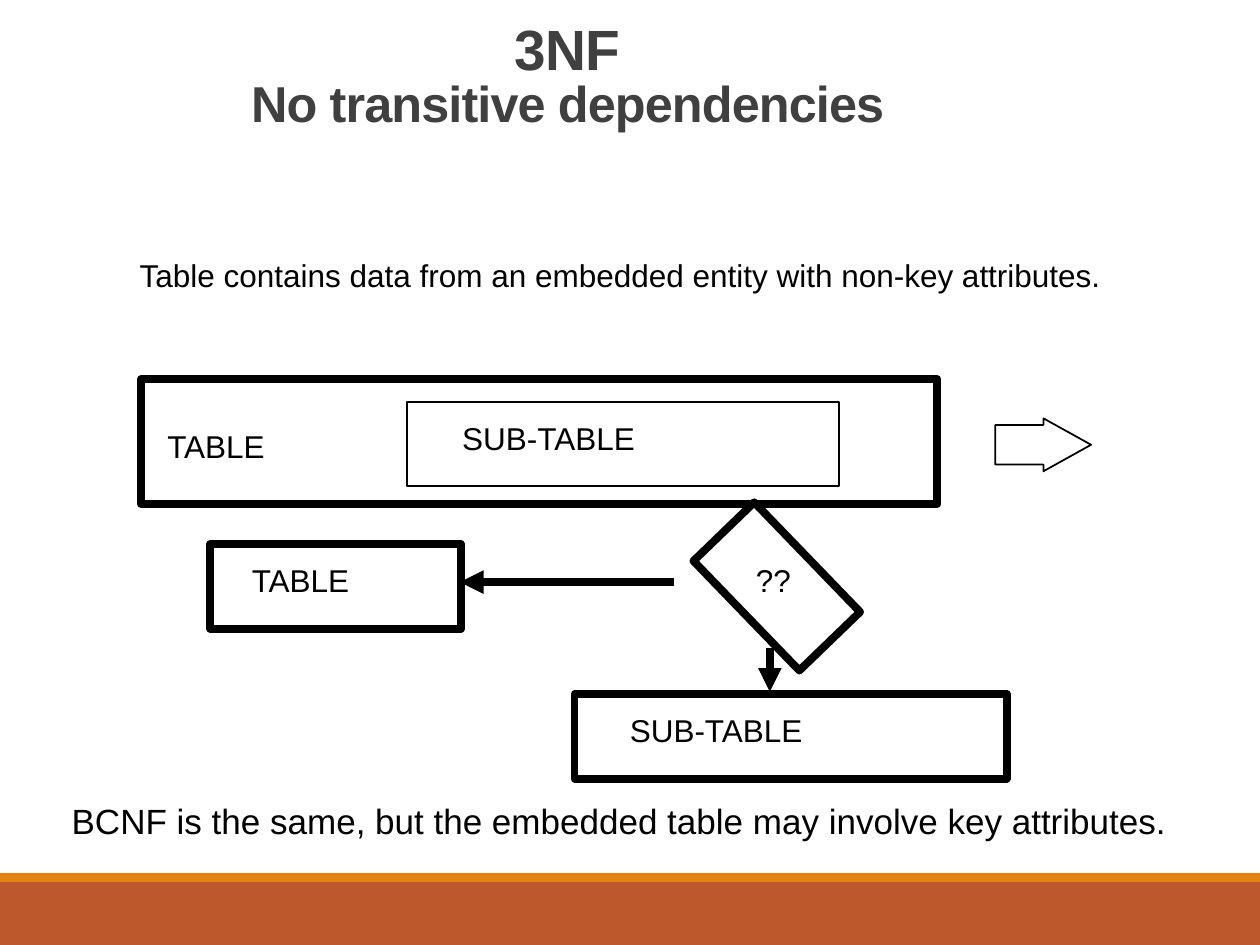
from pptx import Presentation
from pptx.dml.color import RGBColor
from pptx.enum.shapes import MSO_CONNECTOR, MSO_SHAPE
from pptx.enum.text import MSO_ANCHOR, PP_ALIGN
from pptx.oxml.ns import qn
from pptx.util import Inches, Pt
from lxml.etree import SubElement

COLORS = {"ink": "000000", "title": "404040", "band": "BD582C", "stripe": "E48312"}
FONT = "Arial"
THICK = 4.5
THIN = 1


def rgb(name):
    return RGBColor.from_string(COLORS[name])


def style_run(r, size, color="ink", bold=False):
    r.font.name = FONT
    r.font.size = Pt(size)
    r.font.bold = bold
    r.font.color.rgb = rgb(color)


def add_text(s, text, left, top, width, height, size=18, wrap=False):
    sp = s.shapes.add_textbox(Inches(left), Inches(top), Inches(width), Inches(height))
    tf = sp.text_frame
    tf.word_wrap = wrap
    tf.vertical_anchor = MSO_ANCHOR.TOP
    tf.text = text
    for r in tf.paragraphs[0].runs:
        style_run(r, size)
    return sp


def add_outline(s, left, top, width, height, weight, kind=MSO_SHAPE.RECTANGLE):
    sp = s.shapes.add_shape(kind, Inches(left), Inches(top), Inches(width), Inches(height))
    sp.shadow.inherit = False
    sp.fill.background()
    sp.line.color.rgb = rgb("ink")
    sp.line.width = Pt(weight)
    return sp


def add_arrow(s, x1, y1, x2, y2):
    cn = s.shapes.add_connector(
        MSO_CONNECTOR.STRAIGHT, Inches(x1), Inches(y1), Inches(x2), Inches(y2))
    cn.line.color.rgb = rgb("ink")
    cn.line.width = Pt(THICK)
    SubElement(cn.line._get_or_add_ln(), qn("a:tailEnd"), type="triangle")
    SubElement(cn._element.spPr, qn("a:effectLst"))


def add_footer(s, left, top, width, height):
    stripe = 0.07
    bands = (("band", top + stripe, height - stripe), ("stripe", top, stripe))
    for color, y, h in bands:
        sp = s.shapes.add_shape(
            MSO_SHAPE.RECTANGLE, Inches(left), Inches(y), Inches(width), Inches(h))
        sp.shadow.inherit = False
        sp.fill.solid()
        sp.fill.fore_color.rgb = rgb(color)
        sp.line.fill.background()


def add_title(s, left, top, width, height):
    sp = add_text(s, "3NF\vNo transitive dependencies", left, top, width, height, wrap=True)
    p = sp.text_frame.paragraphs[0]
    p.alignment = PP_ALIGN.CENTER
    p.line_spacing = 0.85
    for r, size in zip(p.runs, (32.4, 28.8)):
        style_run(r, size, "title", bold=True)
        r._r.get_or_add_rPr().set("spc", "-50")


def add_source_table(s, left, top, width, height):
    add_outline(s, left, top, width, height, THICK)
    add_text(s, "TABLE", left + 0.11, top + 0.33, 1.25, 0.5)
    add_text(s, "SUB-TABLE", left + 2.45, top + 0.27, 2.05, 0.5)
    add_outline(s, left + 2.11, top + 0.18, 3.43, 0.67, THIN)
    arrow = add_outline(
        s, left + width + 0.46, top + 0.31, 0.76, 0.42, THIN, MSO_SHAPE.RIGHT_ARROW)
    arrow.adjustments[0] = 0.75
    arrow.adjustments[1] = 0.9


def add_split_tables(s, left, top):
    add_outline(s, left, top, 1.99, 0.67, THICK)
    add_text(s, "TABLE", left + 0.23, top + 0.08, 1.25, 0.5)
    add_text(s, "SUB-TABLE", left + 3.23, top + 1.27, 2.05, 0.5)
    add_outline(s, left + 2.89, top + 1.19, 3.43, 0.67, THICK)
    add_outline(s, left + 3.89, top, 1.21, 0.67, THICK).rotation = 46
    add_text(s, "??", left + 4.23, top + 0.08, 0.57, 0.5)
    add_arrow(s, left + 3.68, top + 0.3, left + 1.98, top + 0.3)
    add_arrow(s, left + 4.44, top + 0.82, left + 4.44, top + 1.17)


def main():
    prs = Presentation()
    prs.slide_width = Inches(10)
    prs.slide_height = Inches(7.5)
    s = prs.slides.add_slide(prs.slide_layouts[6])
    add_footer(s, 0, 6.93, 10, 0.57)
    add_title(s, 0, 0.14, 9.01, 0.62)
    add_text(s, "Table contains data from an embedded entity with non-key attributes.",
             1.01, 1.98, 8.4, 0.9, wrap=True)
    add_source_table(s, 1.12, 3.01, 6.32, 0.99)
    add_split_tables(s, 1.67, 4.32)
    add_text(s, "BCNF is the same, but the embedded table may involve key attributes.",
             0.47, 6.3, 9.27, 0.43, size=20, wrap=True)
    prs.save("out.pptx")


if __name__ == "__main__":
    main()
